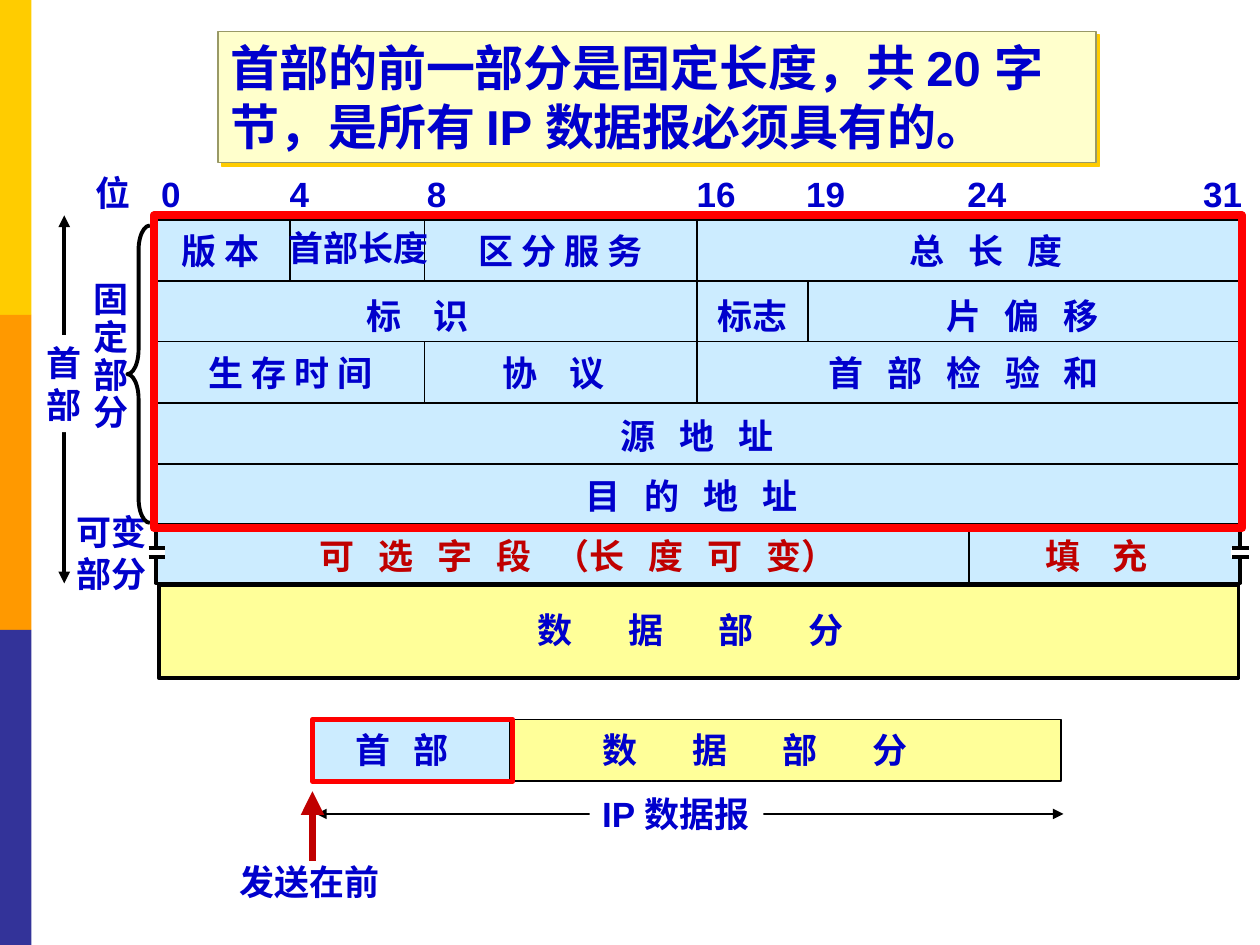
from dataclasses import dataclass
from itertools import product

from lxml.etree import SubElement
from pptx import Presentation
from pptx.dml.color import RGBColor
from pptx.enum.shapes import MSO_CONNECTOR as Connector, MSO_SHAPE as Preset
from pptx.enum.text import MSO_ANCHOR as Anchor, MSO_AUTO_SIZE as AutoSize, PP_ALIGN as Align
from pptx.oxml.ns import qn
from pptx.util import Pt

PX = 9144


@dataclass(frozen=True)
class Theme:
    font: str = "Arial"
    label_size: int = 20
    title_size: int = 28
    space_width: int = 450
    ink: str = "0000CC"
    optional: str = "C00000"
    line: str = "000000"
    frame: str = "FF0000"
    header: str = "CCECFF"
    data: str = "FFFF99"
    paper: str = "FFFFFF"
    title_fill: str = "FFFFCC"
    title_line: str = "999966"
    title_shadow: str = "FFCC00"
    stripes: tuple = ("FFCC00", "FF9900", "333399")


THEME = Theme()


def rgb(code):
    return RGBColor.from_string(code)


def px(*lengths):
    return [length * PX for length in lengths]


def add_box(slide, bounds, fill=None, line=None, weight=1, preset=Preset.RECTANGLE):
    box = slide.shapes.add_shape(preset, *px(*bounds))
    box.shadow.inherit = False
    if fill:
        box.fill.solid()
        box.fill.fore_color.rgb = rgb(fill)
    else:
        box.fill.background()
    if line:
        box.line.color.rgb = rgb(line)
        box.line.width = Pt(weight)
    else:
        box.line.fill.background()
    return box


def add_line(slide, start, end, weight=1, color=THEME.line, arrows=()):
    rule = slide.shapes.add_connector(Connector.STRAIGHT, *px(*start, *end))
    rule.line.color.rgb = rgb(color)
    rule.line.width = Pt(weight)
    outline = rule.line._get_or_add_ln()
    for arrow in arrows:
        SubElement(outline, qn(f"a:{arrow}"), type="triangle")
    SubElement(rule._element.spPr, qn("a:effectLst"))


def add_run(paragraph, text, size, color, tracking=0):
    run = paragraph.add_run()
    run.text = text
    run.font.name = THEME.font
    run.font.size = Pt(size)
    run.font.bold = True
    run.font.color.rgb = rgb(color)
    if tracking:
        run._r.get_or_add_rPr().set("spc", str(tracking))


def write(shape, lines, gap=1, size=THEME.label_size, color=THEME.ink, wrap=False, spacing=None):
    frame = shape.text_frame
    frame.word_wrap = wrap
    frame.auto_size = AutoSize.SHAPE_TO_FIT_TEXT
    frame.vertical_anchor = Anchor.TOP
    for index, line in enumerate(lines):
        paragraph = frame.add_paragraph() if index else frame.paragraphs[0]
        paragraph.alignment = Align.LEFT
        if spacing:
            paragraph.line_spacing = spacing
        if gap == 1:
            add_run(paragraph, line, size, color)
            continue
        for position, word in enumerate(line.split(" ")):
            if position:
                add_run(paragraph, " ", size, color, THEME.space_width * (gap - 1))
            add_run(paragraph, word, size, color)


def add_label(slide, bounds, *lines, **style):
    write(slide.shapes.add_textbox(*px(*bounds)), lines, **style)


def add_break_mark(slide, left, top):
    add_box(slide, (left, top, 14, 8), THEME.paper)
    for y in (top, top + 7):
        add_line(slide, (left + 1, y), (left + 14, y), 2)


def add_title(slide):
    title = add_box(slide, (173, 25, 697, 104), THEME.title_fill, THEME.title_line, 0.75)
    write(title, ["首部的前一部分是固定长度，共 20 字节，是所有 IP 数据报必须具有的。"],
          size=THEME.title_size, wrap=True)
    effects = title._element.spPr.find(qn("a:effectLst"))
    shadow = SubElement(effects, qn("a:outerShdw"), blurRad="0", dist=str(Pt(2.8)),
                        dir="2700000", algn="ctr", rotWithShape="0")
    SubElement(shadow, qn("a:srgbClr"), val=THEME.title_shadow)


def add_header_grid(slide):
    add_box(slide, (124, 174, 860, 289), THEME.header, THEME.line, 2)
    add_box(slide, (126, 464, 857, 74), THEME.data, THEME.line, 2.25)
    for y in (223, 271, 320, 368, 416):
        add_line(slide, (124, y), (985, y))
    dividers = ((230, 174, 223), (337, 174, 223), (337, 271, 320),
                (553, 174, 320), (769, 416, 464), (641, 223, 271))
    for x, top, bottom in dividers:
        add_line(slide, (x, top), (x, bottom))


def add_field_names(slide):
    bits = ((0, 118, 36), (4, 220, 36), (8, 329, 36), (16, 543, 51),
            (19, 630, 51), (24, 758, 51), (31, 945, 51))
    for bit, left, width in bits:
        add_label(slide, (left, 132, width, 43), str(bit))
    add_label(slide, (66, 131, 48, 43), "位")
    fields = (
        ("版 本", 134, 177, 84, 1), ("首部长度", 219, 175, 133, 1),
        ("区 分 服 务", 370, 177, 156, 1), ("总 长 度", 712, 177, 151, 3),
        ("标 识", 281, 229, 107, 4), ("标志", 560, 229, 76, 1),
        ("片 偏 移", 741, 229, 151, 3), ("生 存 时 间", 156, 274, 156, 1),
        ("协 议", 389, 274, 107, 4), ("首 部 检 验 和", 648, 274, 254, 3),
        ("源 地 址", 483, 324, 151, 3), ("目 的 地 址", 455, 372, 202, 3),
    )
    for name, left, top, width, gap in fields:
        add_label(slide, (left, top, width, 43), name, gap=gap)
    add_label(slide, (244, 419, 456, 43), "可 选 字 段 （长 度 可 变）", gap=3, color=THEME.optional)
    add_label(slide, (820, 419, 107, 43), "填 充", gap=4, color=THEME.optional)
    add_label(slide, (417, 478, 318, 43), "数 据 部 分", gap=7, wrap=True)


def add_side_notes(slide):
    add_label(slide, (64, 219, 48, 131), *"固定部分", spacing=0.9)
    add_label(slide, (51, 400, 76, 77), "可变", "部分")
    add_line(slide, (51, 171), (51, 463), 2.25, arrows=("headEnd", "tailEnd"))
    write(add_box(slide, (27, 266, 48, 77), THEME.paper), "首部")
    brace = add_box(slide, (101, 179, 18, 236), None, THEME.line, 2.25, Preset.LEFT_BRACE)
    brace.adjustments[0] = 1.08
    brace.adjustments[1] = 0.5


def add_datagram(slide):
    add_line(slide, (251, 646), (844, 646), arrows=("headEnd", "tailEnd"))
    add_box(slide, (248, 571, 157, 49), THEME.header, THEME.line)
    add_box(slide, (406, 571, 436, 49), THEME.data, THEME.line)
    add_label(slide, (468, 573, 339, 43), "数 据 部 分", gap=7, wrap=True)
    add_label(slide, (272, 573, 100, 43), "首 部", gap=3)
    write(add_box(slide, (468, 624, 138, 43), THEME.paper), ["IP 数据报"], wrap=True)
    add_line(slide, (248, 683), (248, 628), 4.5, THEME.optional, ("tailEnd",))
    add_label(slide, (180, 678, 133, 43), "发送在前")


def main():
    deck = Presentation()
    deck.slide_width, deck.slide_height = px(1000, 750)
    slide = deck.slides.add_slide(deck.slide_layouts[6])
    for index, color in enumerate(THEME.stripes):
        add_box(slide, (0, 250 * index, 25, 250), color)
    add_header_grid(slide)
    add_field_names(slide)
    for left, top in product((117, 977), (435,)):
        add_break_mark(slide, left, top)
    add_side_notes(slide)
    add_datagram(slide)
    add_box(slide, (122, 171, 864, 248), None, THEME.frame, 4.5)
    add_box(slide, (248, 571, 159, 49), None, THEME.frame, 3)
    add_title(slide)
    deck.save("out.pptx")


if __name__ == "__main__":
    main()
